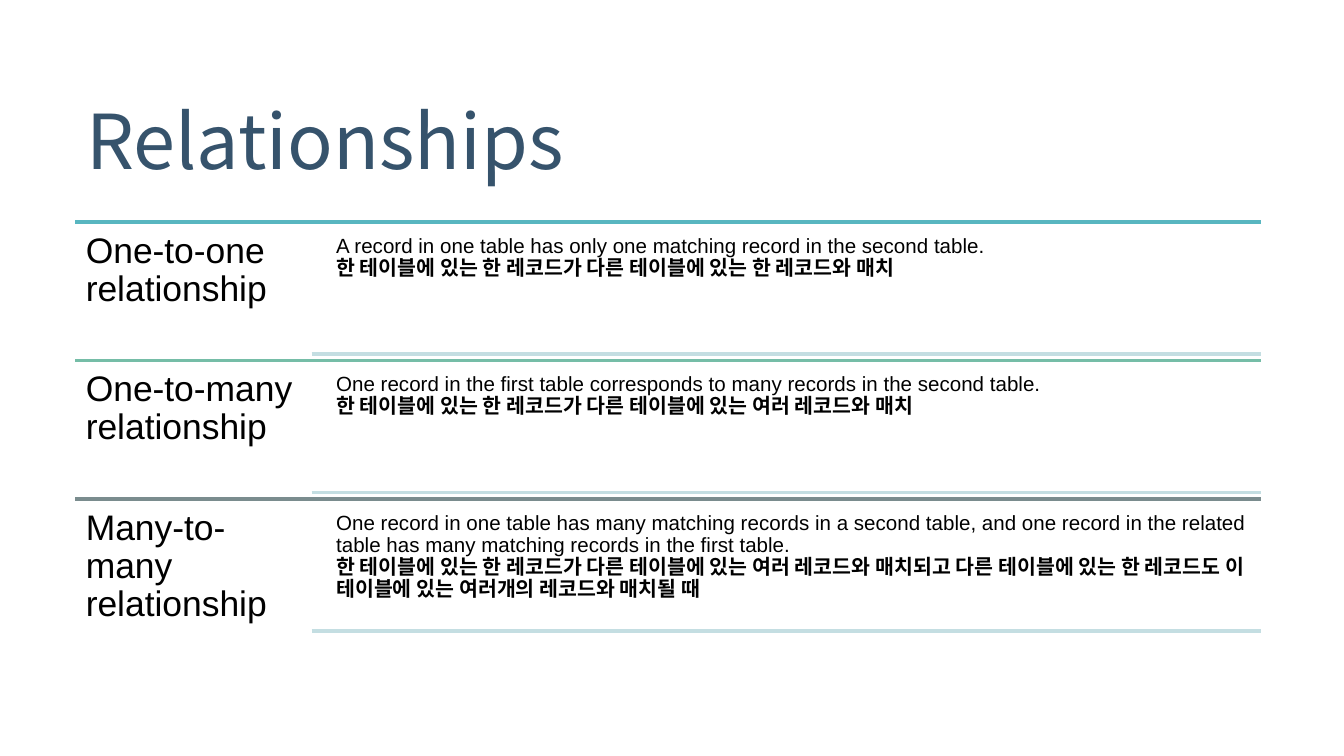
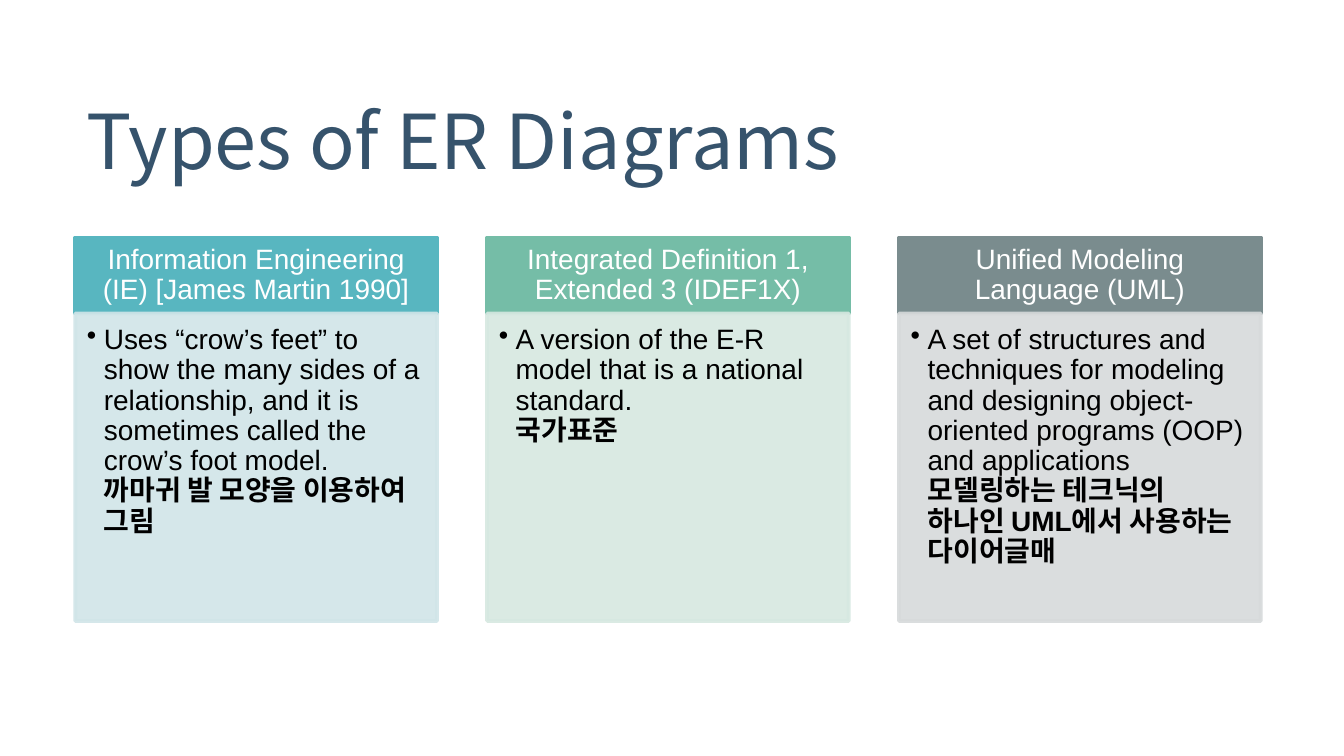
from lxml import etree
from pptx import Presentation
from pptx.dml.color import RGBColor as RGB
from pptx.enum.shapes import MSO_CONNECTOR as LINE, MSO_SHAPE as SHAPE
from pptx.enum.text import MSO_ANCHOR as ANCHOR, MSO_AUTO_SIZE as FIT, PP_ALIGN as ALIGN
from pptx.oxml.ns import qn
from pptx.util import Pt

NAVY = RGB(0x36, 0x53, 0x6C)
TEAL = RGB(0x58, 0xB6, 0xC0)
GREEN = RGB(0x75, 0xBD, 0xA7)
GREY = RGB(0x7A, 0x8C, 0x8E)
RULE = RGB(0xC4, 0xDE, 0xE2)
PALE_TEAL = RGB(0xD1, 0xE5, 0xE8)
PALE_GREEN = RGB(0xD6, 0xE8, 0xE1)
PALE_GREY = RGB(0xD7, 0xDA, 0xDB)
BLACK = RGB(0, 0, 0)
WHITE = RGB(255, 255, 255)

SANS = "Arial"
HEAD = "Noto Sans CJK KR"
LEFT, RIGHT = 40.3, 675.4
SIDES = ("left", "top", "right", "bottom")

ROWS = [
    (TEAL, "One-to-one relationship",
     "A record in one table has only one matching record in the second table.",
     "한 테이블에 있는 한 레코드가 다른 테이블에 있는 한 레코드와 매치"),
    (GREEN, "One-to-many relationship",
     "One record in the first table corresponds to many records in the second table.",
     "한 테이블에 있는 한 레코드가 다른 테이블에 있는 여러 레코드와 매치"),
    (GREY, "Many-to-many relationship",
     "One record in one table has many matching records in a second table, "
     "and one record in the related table has many matching records in the first table.",
     "한 테이블에 있는 한 레코드가 다른 테이블에 있는 여러 레코드와 매치되고 "
     "다른 테이블에 있는 한 레코드도 이 테이블에 있는 여러개의 레코드와 매치될 때"),
]
CARDS = [
    (TEAL, PALE_TEAL, "Information Engineering (IE) [James Martin 1990]",
     "Uses “crow’s feet” to show the many sides of a relationship, "
     "and it is sometimes called the crow’s foot model.",
     "까마귀 발 모양을 이용하여 그림"),
    (GREEN, PALE_GREEN, "Integrated Definition 1, Extended 3 (IDEF1X)",
     "A version of the E-R model that is a national standard.",
     "국가표준"),
    (GREY, PALE_GREY, "Unified Modeling Language (UML)",
     "A set of structures and techniques for modeling and designing "
     "object-oriented programs (OOP) and applications",
     "모델링하는 테크닉의 하나인 UML에서 사용하는 다이어글매"),
]


def assign(item, values):
    for name, value in values.items():
        setattr(item, name, value)


def place(shape, *box):
    assign(shape, dict(zip(("left", "top", "width", "height"), map(Pt, box))))


def frame(shape, pads, anchor=ANCHOR.TOP):
    """Set up the shape's text frame and return its first paragraph."""
    text = shape.text_frame
    assign(text, {"word_wrap": True, "auto_size": FIT.NONE, "vertical_anchor": anchor})
    assign(text, {f"margin_{side}": Pt(pad) for side, pad in zip(SIDES, pads)})
    return text.paragraphs[0]


def write(para, text, size, color=BLACK, font=SANS, bold=False):
    run = para.add_run()
    run.text = text
    assign(run.font, {"name": font, "size": Pt(size), "bold": bold})
    run.font.color.rgb = color


def write_pair(para, english, korean, size):
    write(para, english, size)
    para.add_line_break()
    write(para, korean, size, bold=True)


def space(para, size, after, align=ALIGN.LEFT):
    assign(para, {"alignment": align, "line_spacing": 0.9, "space_after": Pt(size * after)})


def add_bullet(para, indent):
    props = para._p.get_or_add_pPr()
    props.set("marL", str(Pt(indent)))
    props.set("indent", str(-Pt(indent)))
    color = etree.SubElement(props, qn("a:buClr"))
    etree.SubElement(color, qn("a:srgbClr"), val=str(BLACK))
    etree.SubElement(props, qn("a:buChar"), char="•")


def add_title(deck, text):
    """Add a title-only slide with its title."""
    slide = deck.slides.add_slide(deck.slide_layouts[5])
    title = slide.shapes.title
    place(title, 38.9, 29.5, 636.5, 97.9)
    para = frame(title, (7.2, 3.6, 7.2, 3.6), ANCHOR.MIDDLE)
    assign(para, {"alignment": ALIGN.LEFT, "line_spacing": 0.85})
    write(para, text, 40.5, NAVY, HEAD)
    return slide


def add_rule(slide, left, top, color):
    rule = slide.shapes.add_connector(LINE.STRAIGHT, Pt(left), Pt(top), Pt(RIGHT), Pt(top))
    rule.line.color.rgb = color
    rule.line.width = Pt(2)
    etree.SubElement(rule._element.spPr, qn("a:effectLst"))


def add_text(slide, box, pad, size):
    para = frame(slide.shapes.add_textbox(*map(Pt, box)), [pad] * 4)
    space(para, size, 0.35)
    return para


def add_row(slide, top, color, name, english, korean):
    add_rule(slide, LEFT, top, color)
    write(add_text(slide, (LEFT, top, 126.7, 74.2), 5.7, 19), name, 19)
    para = add_text(slide, (176.5, top + 3.7, 498.5, 67), 3.6, 11)
    write_pair(para, english, korean, 11)
    add_rule(slide, 167, top + 70.7, RULE)


def add_panel(slide, box, color, alpha=100):
    panel = slide.shapes.add_shape(SHAPE.RECTANGLE, *map(Pt, box))
    panel.shadow.inherit = False
    panel.line.width = Pt(2)
    for fill in (panel.fill, panel.line.fill):
        fill.solid()
        fill.fore_color.rgb = color
    if alpha < 100:
        for tint in panel._element.spPr.iter(qn("a:srgbClr")):
            etree.SubElement(tint, qn("a:alpha"), val=str(alpha * 1000))
    return panel


def add_card(slide, left, width, color, pale, name, english, korean):
    head = add_panel(slide, (left, 127.3, width, 40.7), color)
    para = frame(head, (8.4, 4.8, 8.4, 4.8), ANCHOR.MIDDLE)
    space(para, 15, 0.35, ALIGN.CENTER)
    write(para, name, 15, WHITE)

    body = add_panel(slide, (left, 168, width, 164.7), pale, 90)
    para = frame(body, (6.3, 6.3, 8.4, 9.45))
    para.level = 1
    space(para, 15, 0.15)
    add_bullet(para, 9)
    write_pair(para, english, korean, 15)


def main():
    deck = Presentation()
    deck.slide_width, deck.slide_height = Pt(720), Pt(405)

    slide = add_title(deck, "Relationships")
    for i, row in enumerate(ROWS):
        add_row(slide, 118.9 + i * 74.2, *row)

    slide = add_title(deck, "Types of ER Diagrams")
    width = 193.8
    step = (RIGHT - LEFT - width) / (len(CARDS) - 1)
    for i, card in enumerate(CARDS):
        add_card(slide, LEFT + i * step, width, *card)

    deck.save("out.pptx")


if __name__ == "__main__":
    main()
